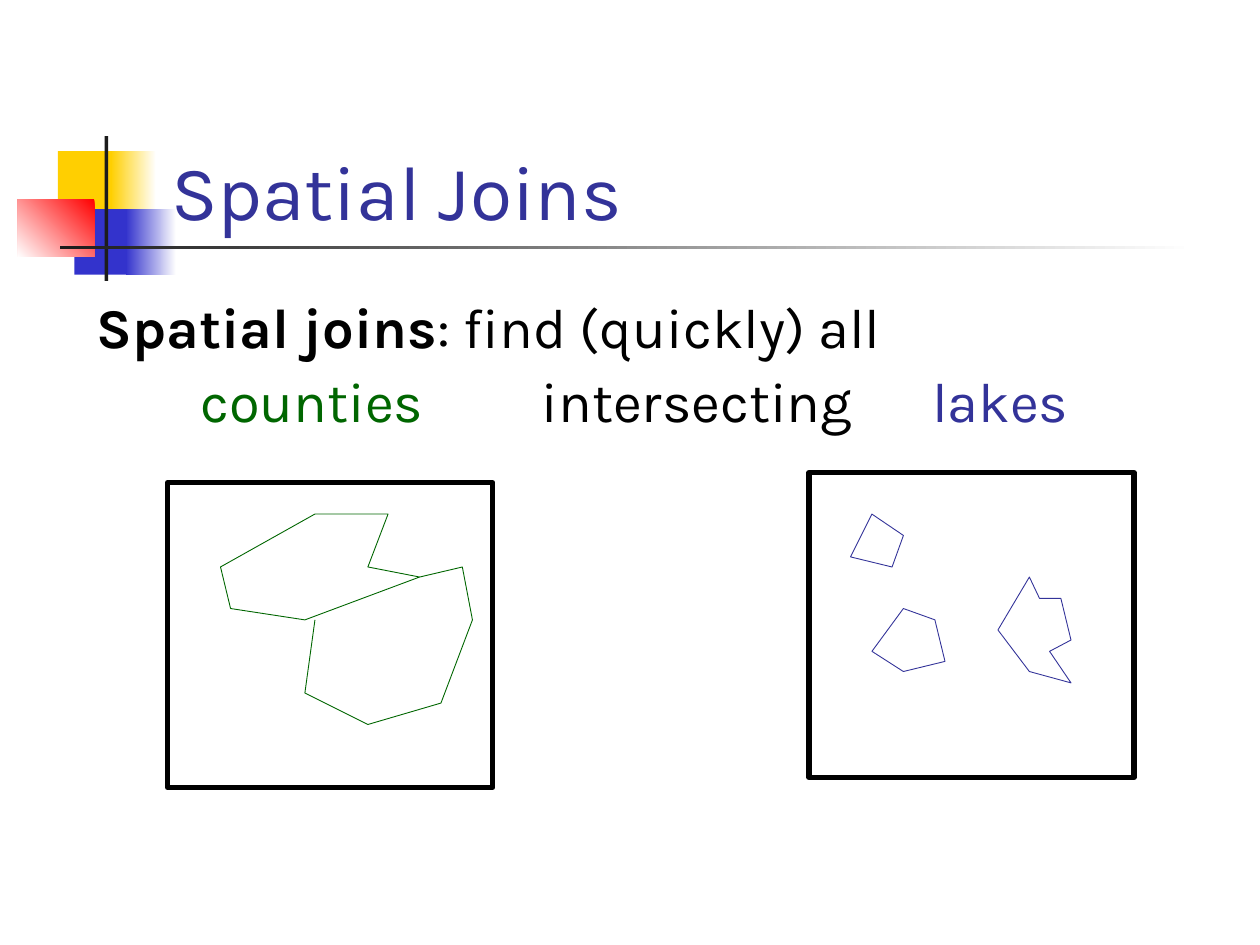
import pptx
import pptx.util
import pptx.dml.color
import pptx.enum.shapes
import pptx.enum.text
import lxml.etree
from pptx.util import Inches

RECT = pptx.enum.shapes.MSO_SHAPE.RECTANGLE
ANCHOR = pptx.enum.text.MSO_ANCHOR
BLUE, GREEN, BLACK = "333399", "006600", "000000"


def rgb(code):
    return pptx.dml.color.RGBColor.from_string(code)


def write(para, text, size=32, color=BLACK, bold=False):
    run = para.add_run()
    run.text = text
    run.font.name = "Karla"
    run.font.size = pptx.util.Pt(size)
    run.font.bold = bold
    run.font.color.rgb = rgb(color)


deck = pptx.Presentation()
deck.slide_width, deck.slide_height = Inches(10), Inches(7.5)
slide = deck.slides.add_slide(deck.slide_layouts[6])
shapes = slide.shapes

# Colour blocks and rules: place, start colour, end colour, clockwise angle
blocks = [
    ((0.46, 1.2, 0.48, 0.52), "FFCF01", None, 0),
    ((0.88, 1.2, 0.36, 0.52), "FFFFFF", "FFCF01", 180),
    ((0.59, 1.66, 0.46, 0.52), "3333CC", None, 0),
    ((1, 1.66, 0.4, 0.52), "FFFFFF", "3333CC", 180),
    ((0.14, 1.58, 0.61, 0.46), "FF0000", "FFFFFF", 135),
    ((0.83, 1.08, 0.03, 1.15), "1C1C1C", None, 0),
    ((0.48, 1.95, 9, 0.03), "FFFFFF", "1C1C1C", 180),
]
for place, start, end, angle in blocks:
    block = shapes.add_shape(RECT, *map(Inches, place))
    block.shadow.inherit = False
    block.line.fill.background()
    if end is None:
        block.fill.solid()
        block.fill.fore_color.rgb = rgb(start)
    else:
        block.fill.gradient()
        block.fill.gradient_angle = 360 - angle
        for stop, color, pos in zip(block.fill.gradient_stops, (start, end), (0, 1)):
            stop.color.rgb = rgb(color)
            stop.position = pos

# Title and body boxes
frames = []
for place, anchor in [
    ((1.26, 0.67, 8.52, 1.25), ANCHOR.BOTTOM),
    ((0.67, 2.33, 8.5, 1.3), ANCHOR.TOP),
]:
    frame = shapes.add_textbox(*map(Inches, place)).text_frame
    frame.word_wrap = True
    frame.vertical_anchor = anchor
    frames.append(frame)
title, body = frames
write(title.paragraphs[0], "Spatial Joins", size=44, color=BLUE)

first = body.paragraphs[0]
first.line_spacing = 0.9
write(first, "Spatial joins", bold=True)
write(first, ": find (quickly) all")

# Second line: three words on tab stops
second = body.add_paragraph()
second.line_spacing = 0.9
second.space_before = pptx.util.Pt(8)
props = second._p.get_or_add_pPr()
tabs = lxml.etree.SubElement(props, pptx.oxml.ns.qn("a:tabLst"))
words = [(0.82, "counties", GREEN), (3.53, "intersecting", BLACK), (6.63, "lakes", BLUE)]
for pos, word, color in words:
    tab = lxml.etree.SubElement(tabs, pptx.oxml.ns.qn("a:tab"))
    tab.set("pos", str(Inches(pos)))
    tab.set("algn", "l")
    write(second, "\t" + word, color=color)

# Map frames
for left, top in [(1.33, 3.83), (6.42, 3.75)]:
    box = shapes.add_shape(RECT, *map(Inches, (left, top, 2.58, 2.42)))
    box.shadow.inherit = False
    box.fill.background()
    box.line.color.rgb = rgb(BLACK)
    box.line.width = pptx.util.Pt(3)

# Lakes and counties: colour, closed, corners
areas = [
    (BLUE, True, [(6.75, 4.42), (6.92, 4.08), (7.17, 4.25), (7.08, 4.5)]),
    (BLUE, True, [(6.92, 5.17), (7.17, 4.83), (7.42, 4.92), (7.5, 5.25), (7.17, 5.33)]),
    (BLUE, True, [(8.17, 4.58), (7.92, 5), (8.17, 5.33), (8.5, 5.42),
                  (8.33, 5.17), (8.5, 5.08), (8.42, 4.75), (8.25, 4.75)]),
    (GREEN, True, [(1.75, 4.5), (2.5, 4.08), (3.08, 4.08), (2.92, 4.5),
                   (3.33, 4.58), (2.42, 4.92), (1.83, 4.83)]),
    (GREEN, False, [(2.5, 4.92), (2.42, 5.5), (2.92, 5.75), (3.5, 5.58),
                    (3.75, 4.92), (3.67, 4.5), (3.33, 4.58)]),
]
for color, closed, corners in areas:
    points = [(Inches(x), Inches(y)) for x, y in corners]
    pen = shapes.build_freeform(*points[0])
    pen.add_line_segments(points[1:], close=closed)
    area = pen.convert_to_shape()
    area.shadow.inherit = False
    area.fill.background()
    area.line.color.rgb = rgb(color)
    area.line.width = pptx.util.Pt(0.5)

deck.save("out.pptx")
